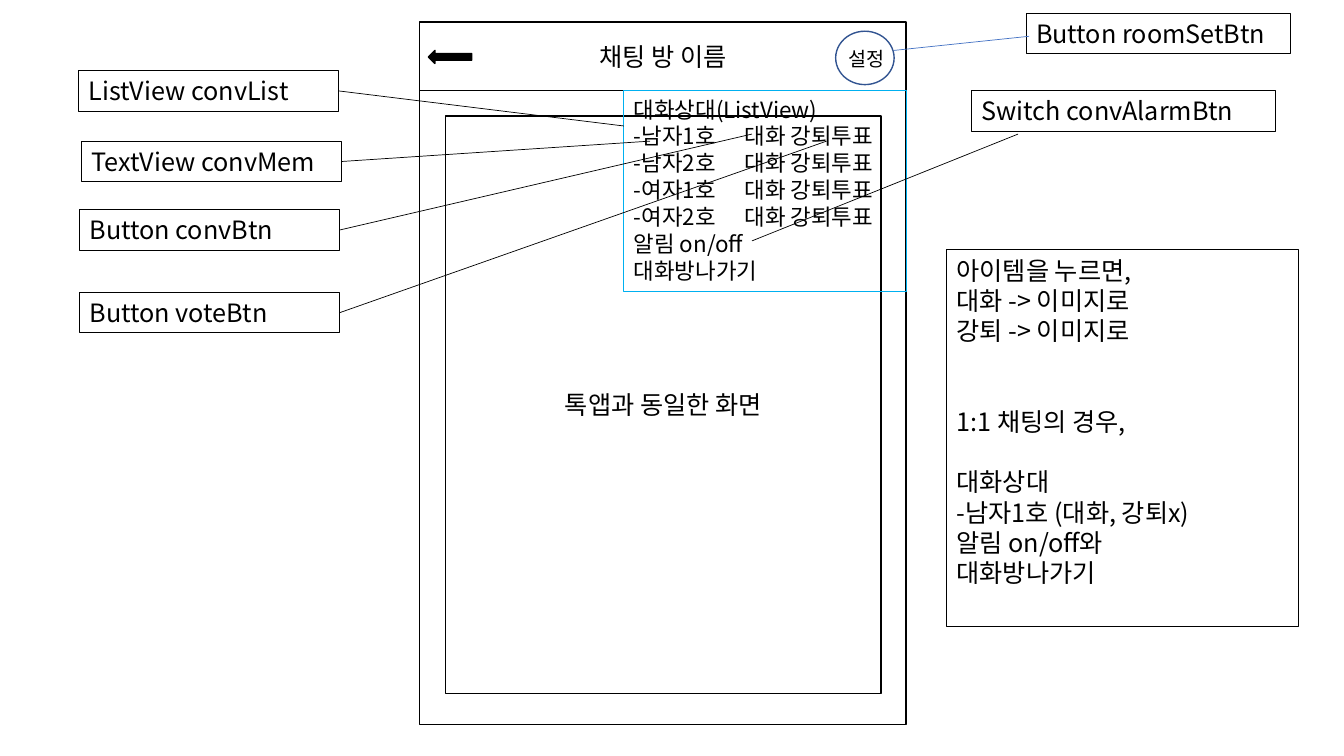
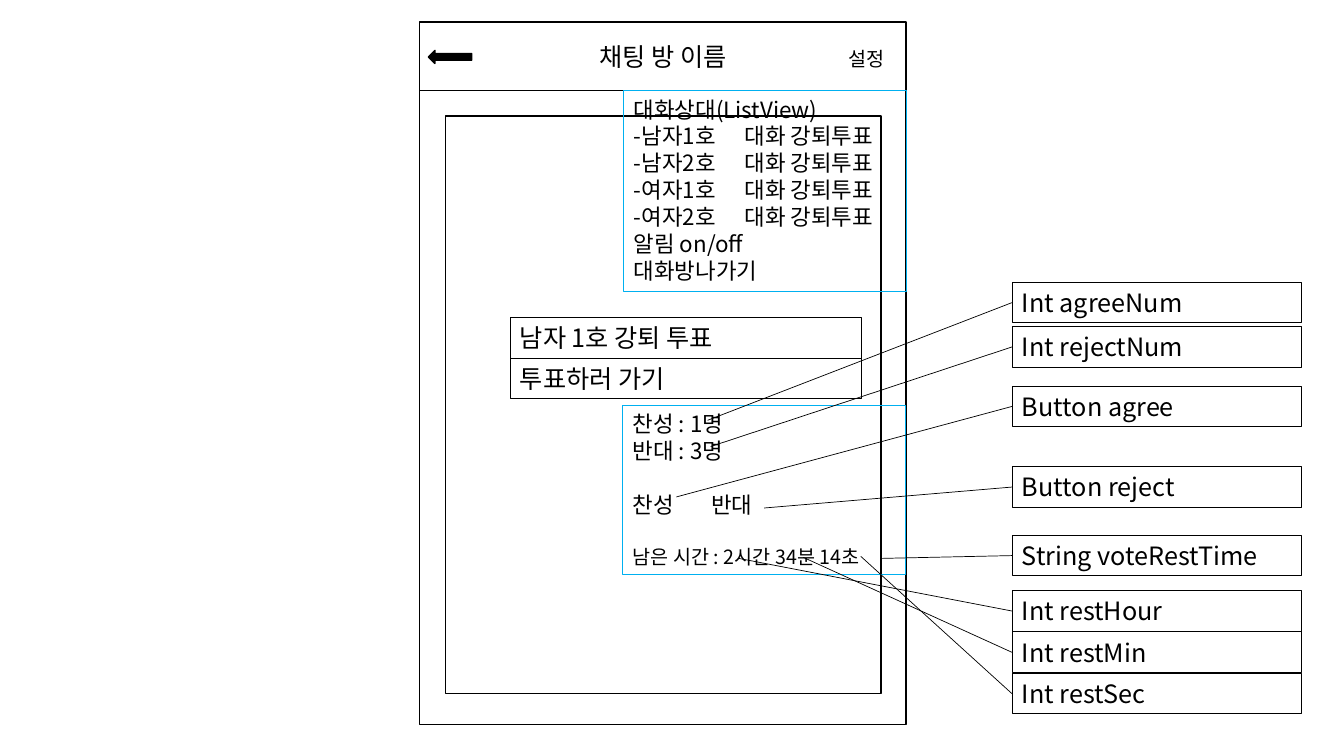
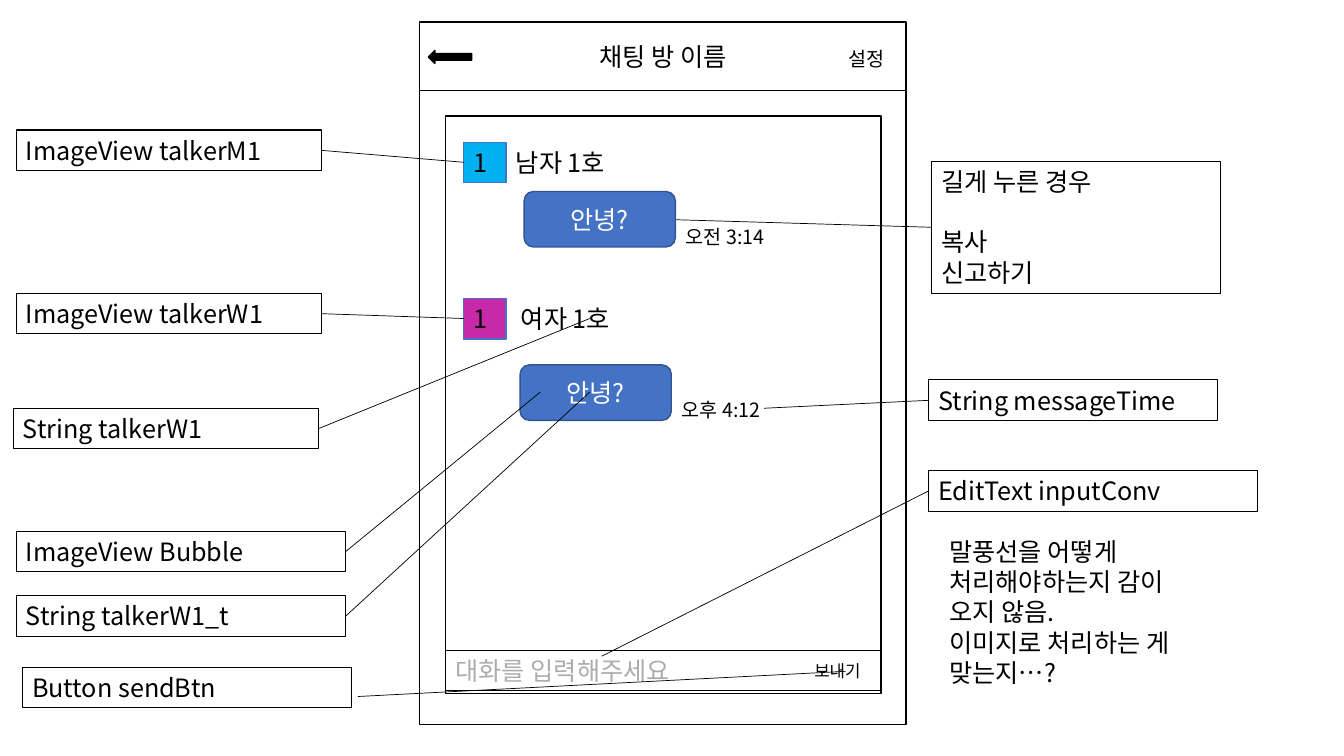
"""Build three annotated wireframes of a chat room screen."""
from lxml.etree import SubElement
from pptx import Presentation
from pptx.dml.color import RGBColor
from pptx.enum.shapes import MSO_CONNECTOR, MSO_SHAPE
from pptx.enum.text import MSO_ANCHOR, MSO_AUTO_SIZE, PP_ALIGN
from pptx.oxml.ns import qn
from pptx.util import Inches, Pt

COLORS = {
    "ink": "000000", "paper": "FFFFFF", "hint": "AFABAB", "popup": "00B0F0",
    "accent": "4472C4", "edge": "325491", "man": "00B0F0", "woman": "C828AA",
}
FONT = "Noto Sans CJK KR"
CELL = Inches(0.1)
COLS, ROWS = 133.33, 75
LABEL_H = 4.04
MEMBERS = ["남자1호", "남자2호", "여자1호", "여자2호"]


def grid(*cells):
    return [round(c * CELL) for c in cells]


def rgb(name):
    return RGBColor.from_string(COLORS[name])


class Wireframe:
    """Draws wireframe elements on the current slide, in grid cells of a tenth of an inch."""

    def __init__(self, prs):
        self.prs = prs
        prs.slide_width, prs.slide_height = grid(COLS, ROWS)

    def set_text(self, sp, lines, size=18, color="ink", center=False, tab=None):
        tf = sp.text_frame
        tf.word_wrap = True
        tf.auto_size = MSO_AUTO_SIZE.NONE
        tf.vertical_anchor = MSO_ANCHOR.MIDDLE if center else MSO_ANCHOR.TOP
        p, gap = tf.paragraphs[0], 0
        for line in lines:
            if not line:
                gap += 1
                continue
            if p.runs:
                p = tf.add_paragraph()
            text, pts = line if isinstance(line, tuple) else (line, size)
            p.alignment = PP_ALIGN.CENTER if center else PP_ALIGN.LEFT
            p.line_spacing = Pt(1.2 * pts)
            p.space_before = Pt(1.2 * size * gap)
            gap = 0
            if tab:
                tabs = SubElement(p._p.get_or_add_pPr(), qn("a:tabLst"))
                SubElement(tabs, qn("a:tab"), pos=str(grid(tab)[0]), algn="l")
            r = p.add_run()
            r.text = text
            r.font.size = Pt(pts)
            r.font.color.rgb = rgb(color)
            r.font.name = FONT
            SubElement(r._r.get_or_add_rPr(), qn("a:ea"), typeface=FONT)

    def box(self, x, y, w, h, lines=(), kind=MSO_SHAPE.RECTANGLE, fill=None,
            line="ink", weight=0.75, **style):
        sp = self.s.shapes.add_shape(kind, *grid(x, y, w, h))
        sp.shadow.inherit = False
        if fill:
            sp.fill.solid()
            sp.fill.fore_color.rgb = rgb(fill)
        else:
            sp.fill.background()
        sp.line.color.rgb = rgb(line)
        sp.line.width = Pt(weight)
        self.set_text(sp, lines, **style)

    def text(self, x, y, w, h, lines, **style):
        self.set_text(self.s.shapes.add_textbox(*grid(x, y, w, h)), lines, **style)

    def line(self, start, end, color="ink"):
        cx = self.s.shapes.add_connector(MSO_CONNECTOR.STRAIGHT, *grid(*start, *end))
        cx.line.color.rgb = rgb(color)
        cx.line.width = Pt(0.5)
        SubElement(cx._element.spPr, qn("a:effectLst"))

    def label(self, text, x, y, w, target, start=None, color="ink", h=LABEL_H):
        self.box(x, y, w, h, text.split("\n"))
        side = x if target[0] < x else x + w
        self.line(start or (side, y + h / 2), target, color)

    def phone(self, body=()):
        self.s = self.prs.slides.add_slide(self.prs.slide_layouts[5])
        self.box(41.6, 2.2, 48.3, 69.7, fill="paper", weight=1)
        self.line((41.6, 9), (89.9, 9))
        title = self.s.shapes.title
        title.left, title.top, title.width, title.height = grid(58.5, 3.6, 17.3, LABEL_H)
        self.set_text(title, ["채팅 방 이름"])
        self.s.shapes._spTree.append(title._element)
        self.box(42.5, 5, 4.3, 1.3, kind=MSO_SHAPE.LEFT_ARROW, fill="ink", weight=1)
        self.text(83.2, 4.2, 6.7, 3.4, ["설정"], size=14)
        self.box(44.2, 11.5, 43.2, 57.3, body, fill="paper", weight=1, center=True)

    def popup(self, x, y, h, lines, tab):
        self.box(x, y, 28, h, lines, line="popup", size=16, tab=tab)

    def member_menu(self):
        rows = [f"-{name}\t대화 강퇴투표" for name in MEMBERS]
        self.popup(61.9, 9, 19.9,
                   ["대화상대(ListView)", *rows, "알림 on/off", "대화방나가기"], 11)

    def message(self, y, name, color, name_x, bubble, time):
        self.box(46, y, 4.2, LABEL_H, ["1"], fill=color, line="accent")
        self.text(name_x, y, 15, LABEL_H, [name])
        x, top = bubble
        self.box(x, top, 15, 5.5, ["안녕?"], kind=MSO_SHAPE.ROUNDED_RECTANGLE,
                 fill="accent", line="edge", weight=1, color="paper", center=True)
        self.text(x + 15.05, top + 2.8, 14.2, 3.4, [time], size=14)


prs = Presentation()
wf = Wireframe(prs)

wf.phone(["톡앱과 동일한 화면"])
wf.box(82.9, 3.1, 5.8, 5.3, kind=MSO_SHAPE.OVAL, line="edge", weight=1)
wf.member_menu()
wf.box(93.9, 24.8, 34.9, 37.4, [
    "아이템을 누르면,", "대화 -> 이미지로", "강퇴 -> 이미지로", "", "",
    "1:1 채팅의 경우,", "", "대화상대", "-남자1호 (대화, 강퇴x)",
    "알림 on/off와", "대화방나가기"])
for text, x, y, target in [
    ("ListView convList", 7.8, 7, (61.9, 12.5)),
    ("TextView convMem", 8.1, 14, (64.5, 14)),
    ("Button convBtn", 7.9, 20.8, (74.6, 13.3)),
    ("Button voteBtn", 7.9, 29, (82, 14)),
]:
    wf.label(text, x, y, 25.8, target)
wf.label("Button roomSetBtn", 101.8, 1.3, 26.2, (88.7, 5), (102.1, 3.6), "accent")
wf.label("Switch convAlarmBtn", 96.4, 9, 30.1, (74.6, 23.9), (101, 13.3))

wf.phone()
wf.member_menu()
for i, text in enumerate(["남자 1호 강퇴 투표", "투표하러 가기"]):
    wf.box(50.6, 31.5 + i * LABEL_H, 34.9, LABEL_H, [text])
wf.popup(61.8, 40.2, 16.8, [
    "찬성 : 1명", "반대 : 3명", "", "찬성\t반대", "",
    ("남은 시간 : 2시간 34분 14초", 14)], 7.8)
for text, y, target in [
    ("Int agreeNum", 28, (70.2, 41.7)),
    ("Int rejectNum", 32.4, (70.5, 44.3)),
    ("Button agree", 38.3, (67.1, 49.3)),
    ("Button reject", 46.3, (75.8, 50.4)),
    ("String voteRestTime", 53.1, (87.4, 55.4)),
    ("Int restHour", 58.6, (73.3, 55.4)),
    ("Int restMin", 62.7, (79.7, 55.3)),
    ("Int restSec", 66.8, (85.4, 55.2)),
]:
    wf.label(text, 100.4, y, 28.7, target)

wf.phone()
wf.message(14.1, "남자 1호", "man", 50.2, (52, 19), "오전 3:14")
wf.message(29.6, "여자 1호", "woman", 50.7, (51.6, 36.2), "오후 4:12")
wf.box(44.2, 64.5, 43.2, LABEL_H, ["대화를 입력해주세요"], color="hint")
wf.text(79.8, 65.1, 7.7, 3, ["보내기"], size=12)
for text, x, y, w, target in [
    ("ImageView talkerM1", 1.6, 12.9, 30.3, (46, 16.1)),
    ("ImageView talkerW1", 1.6, 29.1, 30.3, (46, 31.6)),
    ("String talkerW1", 1.3, 40.5, 30.3, (58.5, 31.6)),
    ("ImageView Bubble", 1.6, 52.7, 32.7, (53.6, 38.9)),
    ("String talkerW1_t", 1.6, 59.1, 32.7, (58.5, 38.9)),
    ("String messageTime", 92.1, 37.7, 28.7, (75.8, 40.5)),
    ("EditText inputConv", 92.1, 46.7, 32.7, (59.7, 65.1)),
]:
    wf.label(text, x, y, w, target)
wf.label("Button sendBtn", 2.2, 66.2, 32.7, (83.9, 66.6), (35.5, 69.1))
wf.label("길게 누른 경우\n\n복사\n신고하기", 92.4, 16, 28.7, (67.1, 21.8), h=13.1)
wf.text(93.2, 52.7, 26.8, 16.2, [
    "말풍선을 어떻게 처리해야하는지 감이 오지 않음.", "이미지로 처리하는 게 맞는지…?"])

prs.save("out.pptx")
